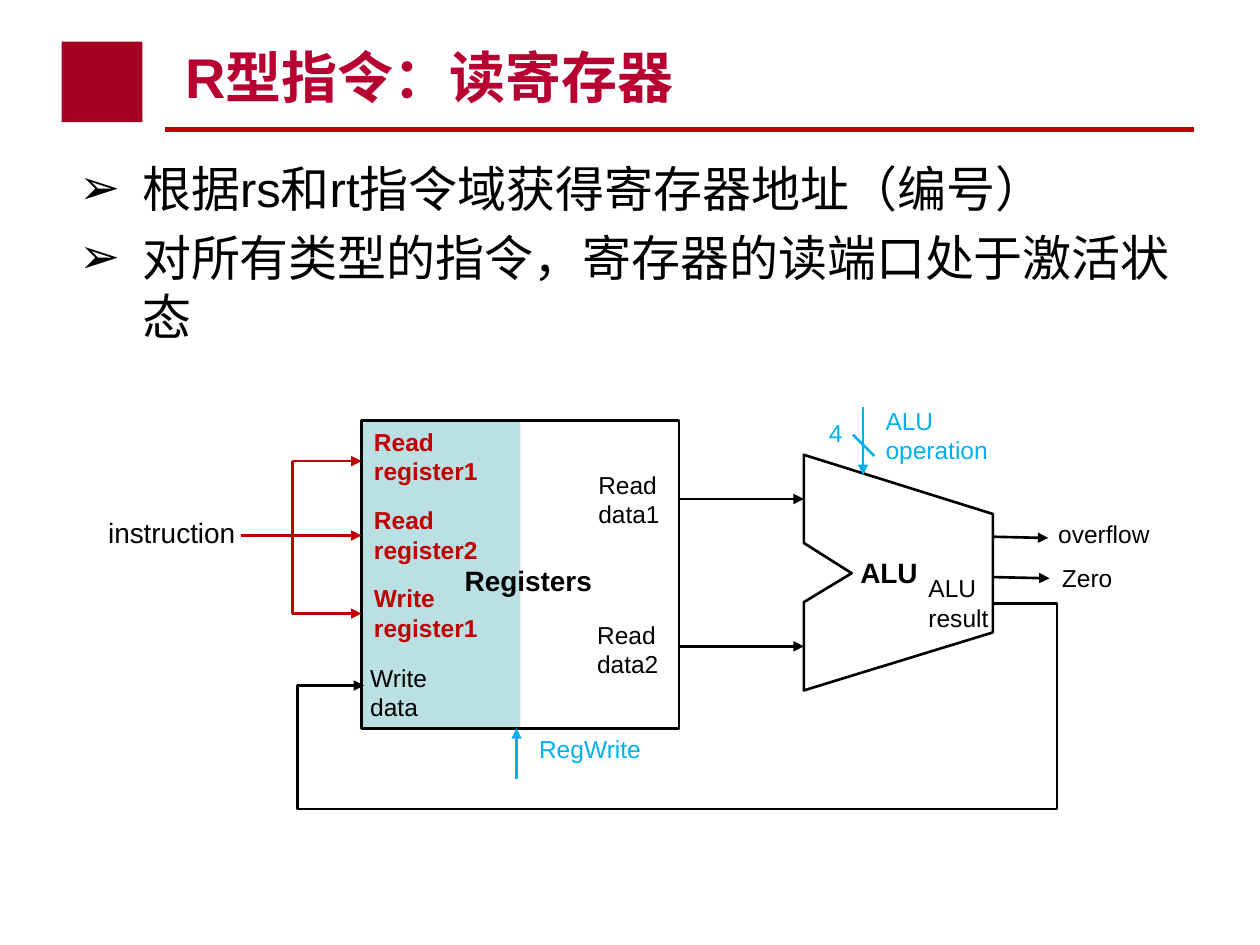
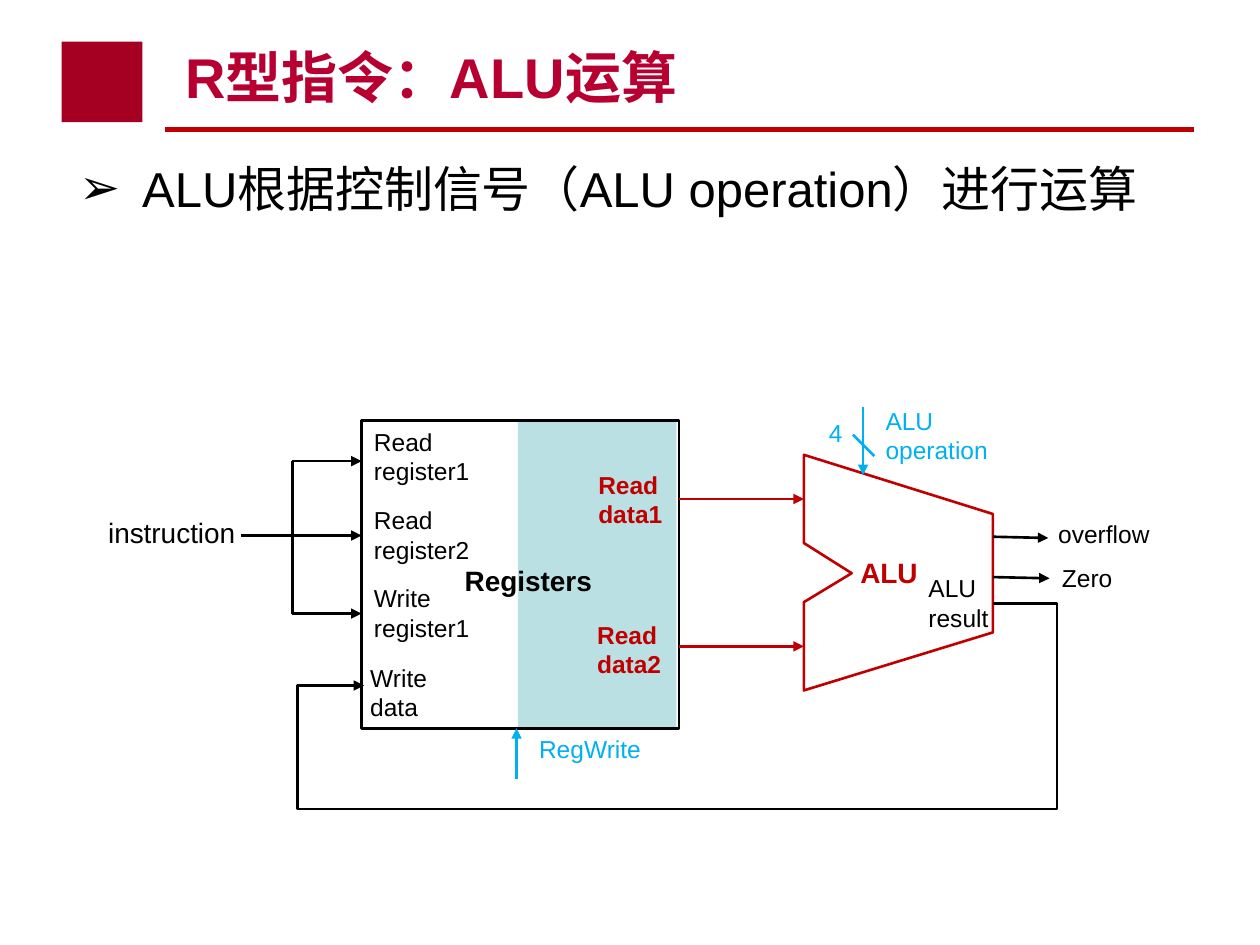
from lxml.etree import SubElement
from pptx import Presentation
from pptx.dml.color import RGBColor
from pptx.enum.shapes import MSO_CONNECTOR as CONN, MSO_SHAPE as SHAPE
from pptx.enum.text import MSO_ANCHOR, MSO_AUTO_SIZE, PP_ALIGN
from pptx.oxml.ns import qn
from pptx.util import Inches, Pt

FONT = "Arial"
COLORS = {
    "text": "000000", "title": "B70031", "active": "C00000",
    "control": "00B0F0", "shade": "BBE0E3", "marker": "A50021",
}

# Slide content: "active" names the datapath stage shown in red
SLIDES = [
    {"title": "R型指令：读寄存器", "active": "read", "shade_at": (2.87, 3.33),
     "bullets": ["根据rs和rt指令域获得寄存器地址（编号）",
                 "对所有类型的指令，寄存器的读端口处于激活状态"]},
    {"title": "R型指令：ALU运算", "active": "alu", "shade_at": (4.11, 3.34),
     "bullets": ["ALU根据控制信号（ALU operation）进行运算"]},
]

# Labels: lines, left, top, width, height, size, bold, role
LABELS = [
    (["Read", "register1"], 2.87, 3.34, 1.26, 0.57, 14, False, "read"),
    (["Read", "register2"], 2.87, 3.96, 1.26, 0.57, 14, False, "read"),
    (["Write", "register1"], 2.87, 4.58, 1.26, 0.57, 14, False, "read"),
    (["Write", "data"], 2.84, 5.21, 1.26, 0.57, 14, False, "text"),
    (["Read", "data1"], 4.65, 3.68, 0.74, 0.57, 14, False, "alu"),
    (["Read", "data2"], 4.64, 4.87, 0.75, 0.57, 14, False, "alu"),
    (["Registers"], 3.59, 4.42, 1.26, 0.37, 16, True, "text"),
    (["ALU"], 6.73, 4.36, 0.67, 0.37, 16, True, "alu"),
    (["Zero"], 8.33, 4.42, 0.69, 0.34, 14, False, "text"),
    (["ALU", "result"], 7.27, 4.5, 0.69, 0.57, 14, False, "text"),
    (["4"], 6.48, 3.27, 0.43, 0.34, 14, False, "control"),
    (["ALU operation"], 6.93, 3.17, 1.24, 0.57, 14, False, "control"),
    (["RegWrite"], 4.18, 5.78, 1.24, 0.34, 14, False, "control"),
    (["overflow"], 8.3, 4.07, 1.11, 0.34, 14, False, "text"),
    (["instruction"], 0.76, 4.04, 1.34, 0.37, 16, False, "text"),
]

# Wires: start, end, arrow at end, role
BUS_X, REG_LEFT, REG_RIGHT, ALU_LEFT, ALU_RIGHT = 2.32, 2.87, 5.39, 6.38, 7.88
READ_PORTS, DATA_PORTS = (3.66, 4.25, 4.87), (3.96, 5.13)
WIRES = (
    [((BUS_X, y), (REG_LEFT, y), True, "read") for y in READ_PORTS]
    + [((REG_RIGHT, y), (ALU_LEFT, y), True, "alu") for y in DATA_PORTS]
    + [
        ((BUS_X, READ_PORTS[-1]), (BUS_X, READ_PORTS[0]), False, "read"),
        ((1.91, 4.25), (2.35, 4.25), False, "read"),
        ((6.85, 3.23), (6.85, 3.77), True, "control"),
        ((6.77, 3.45), (6.94, 3.62), False, "control"),
        ((4.1, 6.18), (4.1, 5.78), True, "control"),
        ((ALU_RIGHT, 4.58), (8.33, 4.59), True, "text"),
        ((ALU_RIGHT, 4.26), (8.32, 4.27), True, "text"),
    ]
)
ALU_OUTLINE = [(ALU_LEFT, 3.61), (ALU_RIGHT, 4.08), (ALU_RIGHT, 5.02), (ALU_LEFT, 5.48),
               (ALU_LEFT, 4.78), (6.76, 4.55), (ALU_LEFT, 4.31)]
WRITE_BACK = ((ALU_RIGHT, 4.79), (2.89, 5.44))
WRITE_BACK_BENDS = (-10200, 250700, 110600)


def rgb(name):
    return RGBColor.from_string(COLORS[name])


def box(*lengths):
    return [Inches(v) for v in lengths]


def role_color(role, active):
    if role in COLORS:
        return role
    return "active" if role == active else "text"


def add_run(p, text, size, color, bold=False):
    r = p.add_run()
    r.text = text
    r.font.name, r.font.size, r.font.bold = FONT, Pt(size), bold
    r.font.color.rgb = rgb(color)


def set_line(sp, color, width=1.5):
    sp.line.color.rgb = rgb(color)
    sp.line.width = Pt(width)


def add_rectangle(slide, bounds, fill=None, line=None):
    sp = slide.shapes.add_shape(SHAPE.RECTANGLE, *box(*bounds))
    sp.shadow.inherit = False
    if fill:
        sp.fill.solid()
        sp.fill.fore_color.rgb = rgb(fill)
    else:
        sp.fill.background()
    if line:
        set_line(sp, line)
    else:
        sp.line.fill.background()


def add_wire(slide, start, end, color, arrow=False, width=1.5, kind=CONN.STRAIGHT):
    sp = slide.shapes.add_connector(kind, *box(*start, *end))
    set_line(sp, color, width)
    props = sp._element.spPr
    if arrow:
        SubElement(props.find(qn("a:ln")), qn("a:tailEnd"), type="triangle")
    SubElement(props, qn("a:effectLst"))
    return sp


def add_frame(slide, title):
    # Rule and corner marker
    add_wire(slide, (1.31, 1.03), (9.48, 1.03), "active", width=3)
    add_rectangle(slide, (0.49, 0.33, 0.64, 0.64), fill="marker")
    # Title
    sp = slide.shapes.title
    sp.left, sp.top, sp.width, sp.height = box(1.37, 0.25, 8, 0.67)
    tf = sp.text_frame
    tf.auto_size, tf.vertical_anchor = MSO_AUTO_SIZE.NONE, MSO_ANCHOR.BOTTOM
    p = tf.paragraphs[0]
    p.alignment = PP_ALIGN.LEFT
    add_run(p, title, 32, "title", True)


def add_bullets(slide, bullets):
    tf = slide.shapes.add_textbox(*box(0.53, 1.21, 8.95, 1.82)).text_frame
    tf.word_wrap = True
    for i, text in enumerate(bullets):
        p = tf.add_paragraph() if i else tf.paragraphs[0]
        props = p._p.get_or_add_pPr()
        props.set("marL", str(Inches(0.5)))
        props.set("indent", str(Inches(-0.5)))
        SubElement(props, qn("a:buFont"), typeface=FONT)
        SubElement(props, qn("a:buChar"), char="➢")
        if i:
            p.space_before = Pt(5.6)
        add_run(p, text, 28, "text")


def add_label(slide, lines, bounds, size, bold, color):
    tf = slide.shapes.add_textbox(*box(*bounds)).text_frame
    tf.word_wrap = True
    for i, text in enumerate(lines):
        p = tf.add_paragraph() if i else tf.paragraphs[0]
        add_run(p, text, size, color, bold)


def add_write_back(slide):
    sp = add_wire(slide, *WRITE_BACK, "text", arrow=True, kind=CONN.ELBOW)
    geometry = sp._element.spPr.find(qn("a:prstGeom"))
    geometry.set("prst", "bentConnector5")
    guides = geometry.find(qn("a:avLst"))
    for i, bend in enumerate(WRITE_BACK_BENDS, 1):
        SubElement(guides, qn("a:gd"), name=f"adj{i}", fmla=f"val {bend}")


def add_datapath(slide, active, shade_at):
    # Register file
    add_rectangle(slide, (*shade_at, 1.26, 2.44), fill="shade")
    add_rectangle(slide, (REG_LEFT, 3.34, 2.52, 2.44), line="text")
    # ALU
    points = [box(*point) for point in ALU_OUTLINE]
    builder = slide.shapes.build_freeform(*points[0])
    builder.add_line_segments(points[1:], close=True)
    alu = builder.convert_to_shape()
    alu.shadow.inherit = False
    alu.fill.background()
    set_line(alu, role_color("alu", active))
    # Wires and labels
    for start, end, arrow, role in WIRES:
        add_wire(slide, start, end, role_color(role, active), arrow)
    add_write_back(slide)
    for lines, *bounds, size, bold, role in LABELS:
        color = role_color(role, active)
        add_label(slide, lines, bounds, size, bold or color == "active", color)


def main():
    prs = Presentation()
    prs.slide_width, prs.slide_height = box(10, 7.5)
    for content in SLIDES:
        slide = prs.slides.add_slide(prs.slide_layouts[5])
        add_frame(slide, content["title"])
        add_bullets(slide, content["bullets"])
        add_datapath(slide, content["active"], content["shade_at"])
    prs.save("out.pptx")


if __name__ == "__main__":
    main()
